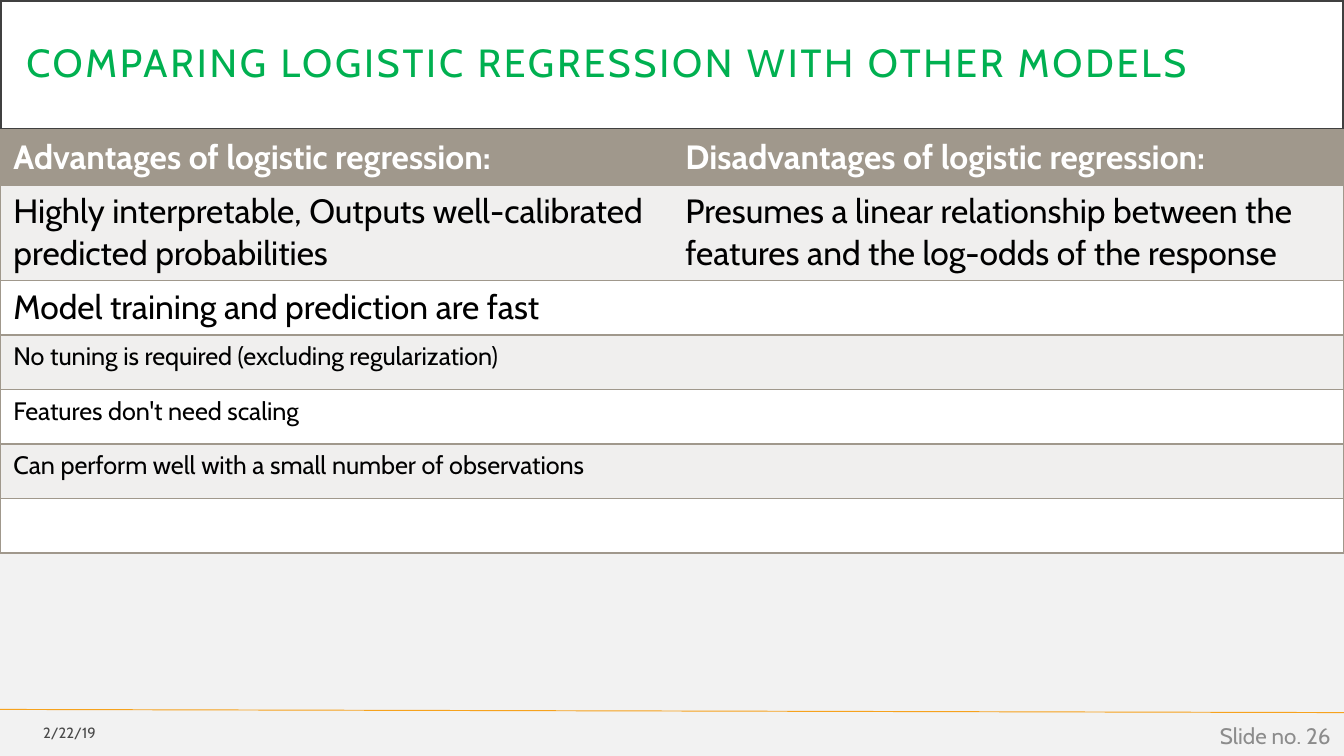
"""Build a slide on the pros and cons of logistic regression."""
from lxml import etree
from pptx import Presentation
from pptx.dml.color import RGBColor
from pptx.enum import shapes, text
from pptx.oxml import ns
from pptx.util import Cm, Pt

WHITE = RGBColor(0xFF, 0xFF, 0xFF)
BLACK = RGBColor(0, 0, 0)
PAPER = RGBColor(0xF2, 0xF2, 0xF2)
GREEN = RGBColor(0x00, 0xB0, 0x50)
DARK = RGBColor(0x40, 0x40, 0x40)
TAUPE = RGBColor(0xA0, 0x98, 0x8C)
PALE = RGBColor(0xF0, 0xEF, 0xEE)
AMBER = RGBColor(0xF6, 0xA2, 0x1D)
INK = RGBColor(0x49, 0x49, 0x49)
GREY = RGBColor(0x8C, 0x8C, 0x8C)


def style(para, size, color, bold=False):
    font = para.font
    font.name = "Cabin"
    font.size = Pt(size)
    font.bold = bold
    font.color.rgb = color


def edge(cell, side, color=None):
    props = cell._tc.get_or_add_tcPr()
    line = etree.SubElement(props, ns.qn("a:ln" + side), w=str(Pt(1)))
    if color is None:
        etree.SubElement(line, ns.qn("a:noFill"))
    else:
        fill = etree.SubElement(line, ns.qn("a:solidFill"))
        etree.SubElement(fill, ns.qn("a:srgbClr"), val=str(color))


deck = Presentation()
deck.slide_width, deck.slide_height = Cm(25.4), Cm(14.28)
slide = deck.slides.add_slide(deck.slide_layouts[6])
slide.background.fill.solid()
slide.background.fill.fore_color.rgb = PAPER

rule = slide.shapes.add_connector(
    shapes.MSO_CONNECTOR.STRAIGHT, Cm(0), Cm(13.4), Cm(25.4), Cm(13.46))
rule.line.color.rgb = AMBER
rule.line.width = Pt(0.5)
etree.SubElement(rule._element.spPr, ns.qn("a:effectLst"))

title = slide.shapes.add_shape(
    shapes.MSO_SHAPE.RECTANGLE, Cm(0), Cm(0), Cm(25.4), Cm(2.46))
title.shadow.inherit = False
title.fill.solid()
title.fill.fore_color.rgb = WHITE
title.line.color.rgb = DARK
title.line.width = Pt(2.5)
frame = title.text_frame
frame.word_wrap = True
frame.vertical_anchor = text.MSO_ANCHOR.MIDDLE
frame.margin_left = frame.margin_right = Cm(0.5)
frame.margin_top = frame.margin_bottom = Cm(0.5)
para = frame.paragraphs[0]
para.text = "COMPARING LOGISTIC REGRESSION WITH OTHER MODELS"
para.alignment = text.PP_ALIGN.LEFT
para.line_spacing = 0.9
style(para, 21, GREEN)
para.runs[0].font._element.set("spc", "150")

ROWS = [
    ("Advantages of logistic regression:",
     "Disadvantages of logistic regression:", 18),
    ("Highly interpretable, Outputs well-calibrated predicted probabilities",
     "Presumes a linear relationship between the features and the log-odds "
     "of the response", 18),
    ("Model training and prediction are fast", "", 18),
    ("No tuning is required (excluding regularization)", "", 13.5),
    ("Features don't need scaling", "", 13.5),
    ("Can perform well with a small number of observations", "", 13.5),
    ("", "", 13.5),
]
table = slide.shapes.add_table(
    len(ROWS), 2, Cm(0), Cm(2.46), Cm(25.4), Cm(7.98)).table
for row, (pro, con, size) in enumerate(ROWS):
    table.rows[row].height = Cm(1.8 if row == 1 else 1.03)
    head = row == 0
    for col, words in enumerate((pro, con)):
        cell = table.cell(row, col)
        edge(cell, "L", TAUPE if col == 0 else None)
        edge(cell, "R", TAUPE if col == 1 else None)
        edge(cell, "T", TAUPE)
        edge(cell, "B", TAUPE)
        cell.fill.solid()
        cell.fill.fore_color.rgb = TAUPE if head else PALE if row % 2 else WHITE
        para = cell.text_frame.paragraphs[0]
        para.text = words
        style(para, size, WHITE if head else BLACK, head)

FOOT = [
    ("2/22/19", 0, 13.49, 2.06, 0.69, 7.9, INK),
    ("Slide no. 26", 19.69, 13.51, 5.71, 0.76, 12, GREY),
]
for words, left, top, width, height, size, color in FOOT:
    box = slide.shapes.add_textbox(Cm(left), Cm(top), Cm(width), Cm(height))
    frame = box.text_frame
    frame.word_wrap = True
    frame.vertical_anchor = text.MSO_ANCHOR.MIDDLE
    para = frame.paragraphs[0]
    para.text = words
    para.alignment = text.PP_ALIGN.RIGHT
    style(para, size, color)

deck.save("out.pptx")
